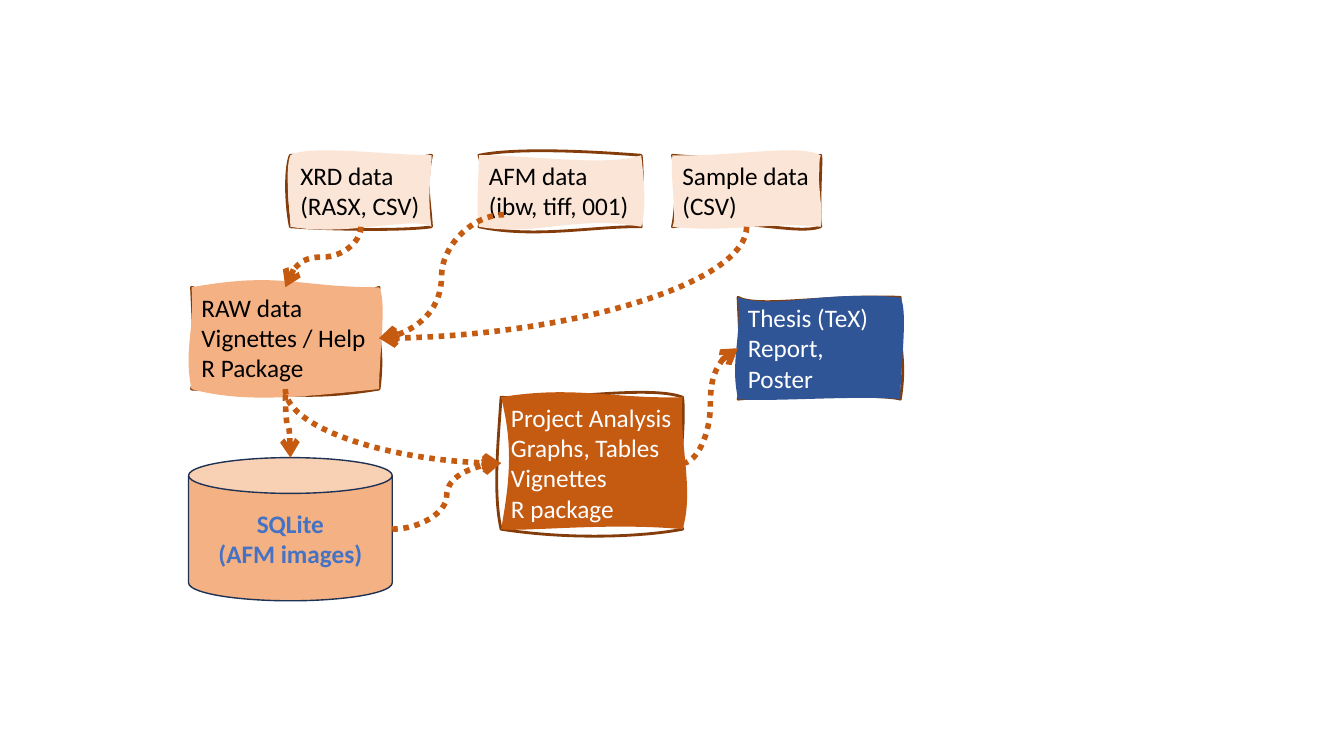
from lxml import etree
from pptx import Presentation
from pptx.dml.color import RGBColor
from pptx.enum.dml import MSO_LINE
from pptx.enum.shapes import MSO_CONNECTOR, MSO_SHAPE
from pptx.enum.text import MSO_ANCHOR, MSO_AUTO_SIZE, PP_ALIGN
from pptx.oxml.ns import qn
from pptx.util import Inches, Pt

CURVE, CAN, ROUND_DOT = MSO_CONNECTOR.CURVE, MSO_SHAPE.CAN, MSO_LINE.ROUND_DOT
TOP, MIDDLE = MSO_ANCHOR.TOP, MSO_ANCHOR.MIDDLE
LEFT, CENTER = PP_ALIGN.LEFT, PP_ALIGN.CENTER
GROW = MSO_AUTO_SIZE.SHAPE_TO_FIT_TEXT

BLACK, WHITE = RGBColor(0, 0, 0), RGBColor(255, 255, 255)
PEACH = RGBColor(0xFB, 0xE5, 0xD6)
APRICOT = RGBColor(0xF4, 0xB1, 0x83)
ORANGE = RGBColor(0xC5, 0x5A, 0x11)
BROWN = RGBColor(0x84, 0x3C, 0x0B)
NAVY = RGBColor(0x2F, 0x55, 0x97)
DARK_NAVY = RGBColor(0x1E, 0x32, 0x56)
BLUE = RGBColor(0x44, 0x72, 0xC4)

# Left, top, width, height of each step
PLACES = {
    "xrd": (2.88, 1.54, 1.4, 0.71),
    "afm": (4.75, 1.54, 1.61, 0.71),
    "sample": (6.67, 1.54, 1.47, 0.71),
    "raw": (1.9, 2.85, 1.86, 1.01),
    "project": (4.97, 3.94, 1.8, 1.31),
    "thesis": (7.32, 2.95, 1.61, 1.01),
    "database": (1.87, 4.54, 2.02, 1.42),
}

# Step, fill, text colour, wrap, paragraphs
BOXES = [
    ("xrd", PEACH, BLACK, False, ["XRD data", "(RASX, CSV)"]),
    ("afm", PEACH, BLACK, False, ["AFM data", "(ibw, tiff, 001)"]),
    ("sample", PEACH, BLACK, False, ["Sample data", "(CSV)"]),
    ("raw", APRICOT, BLACK, False, ["RAW data", "Vignettes / Help\nR Package"]),
    ("project", ORANGE, WHITE, False,
     ["Project Analysis", "Graphs, Tables", "Vignettes", "R package"]),
    ("thesis", NAVY, WHITE, True, ["Thesis (TeX)", "Report,", "Poster"]),
]
DATABASE_TEXT = ["SQLite", "(AFM images)"]

# Hand-drawn edges: two control points each for the top, right, bottom and
# left edge; first the outline, then the filled area
SKETCHES = {
    "xrd": (
        [(3.37, 1.53), (3.83, 1.63), (4.22, 1.85), (4.26, 1.94),
         (4.03, 2.29), (3.3, 2.28), (2.83, 2), (2.83, 1.66)],
        [(3.05, 1.43), (3.88, 1.54), (4.29, 1.63), (4.23, 1.92),
         (4.1, 2.14), (3.46, 2.35), (2.88, 2.1), (2.82, 1.69)]),
    "afm": (
        [(5.17, 1.45), (6.1, 1.52), (6.39, 1.87), (6.34, 2.15),
         (5.91, 2.24), (5.3, 2.37), (4.8, 2.15), (4.8, 1.67)],
        [(5.17, 1.53), (6.02, 1.66), (6.38, 1.71), (6.42, 2.04),
         (5.72, 2.13), (5.31, 2.35), (4.72, 2.12), (4.75, 1.71)]),
    "sample": (
        [(7.11, 1.58), (7.87, 1.61), (8.15, 1.65), (8.12, 1.91),
         (7.88, 2.34), (7.36, 2.14), (6.72, 2.01), (6.71, 1.69)],
        [(7.26, 1.56), (7.91, 1.42), (8.08, 1.72), (8.18, 2.13),
         (7.62, 2.2), (7.21, 2.31), (6.72, 2.13), (6.64, 1.75)]),
    "raw": (
        [(2.35, 3), (3.45, 2.99), (3.71, 3.31), (3.82, 3.4),
         (2.98, 3.99), (2.71, 3.88), (1.94, 3.74), (1.92, 3.27)],
        [(2.79, 2.69), (2.94, 2.85), (3.84, 2.97), (3.76, 3.54),
         (3.06, 3.93), (2.44, 4.01), (1.82, 3.47), (1.93, 3.3)]),
    "project": (
        [(5.46, 3.99), (6.42, 3.81), (6.81, 4.27), (6.68, 4.93),
         (6.47, 5.31), (5.74, 5.37), (4.89, 4.9), (4.94, 4.39)],
        [(5.69, 3.82), (6.08, 3.96), (6.73, 4.38), (6.89, 4.86),
         (6.04, 5.18), (5.16, 5.28), (5.07, 4.71), (5.08, 4.38)]),
    "thesis": (
        [(7.52, 3.06), (8.21, 2.92), (8.89, 3.41), (9, 3.51),
         (8.77, 3.91), (7.71, 3.92), (7.36, 3.84), (7.34, 3.38)],
        [(7.72, 3.07), (8.13, 2.88), (9.01, 3.08), (8.93, 3.65),
         (8.49, 3.92), (7.63, 3.99), (7.24, 3.58), (7.35, 3.41)]),
}

# Start, end (a step's side or a point), leaves downwards, number of bends
FLOWS = [
    (("sample", "bottom"), ("raw", "right"), True, 1),
    ((5, 2.13), ("raw", "right"), False, 2),
    (("xrd", "bottom"), ("raw", "top"), True, 2),
    (("raw", "bottom"), ("project", "left"), True, 1),
    (("project", "right"), ("thesis", "left"), False, 2),
    (("database", "right"), ("project", "left"), False, 2),
    ((2.83, 3.92), ("database", "top"), True, 2),
]
SIDES = {"top": (0.5, 0), "bottom": (0.5, 1), "left": (0, 0.5), "right": (1, 0.5)}


def write_text(shape, paragraphs, colour, align=LEFT, anchor=TOP, bold=False):
    """Fill a shape with paragraphs; a newline is a line break."""
    frame = shape.text_frame
    frame.vertical_anchor = anchor
    for i, wording in enumerate(paragraphs):
        paragraph = frame.paragraphs[0] if i == 0 else frame.add_paragraph()
        paragraph.alignment = align
        for j, line in enumerate(wording.split("\n")):
            if j:
                paragraph.add_line_break()
            run = paragraph.add_run()
            run.text = line
            run.font.name, run.font.size = "Calibri", Pt(18)
            run.font.bold, run.font.color.rgb = bold, colour


def paint(shape, fill, line, width):
    """Set fill and outline and drop the shadow."""
    shape.shadow.inherit = False
    shape.fill.solid()
    shape.fill.fore_color.rgb = fill
    shape.line.color.rgb = line
    shape.line.width = Pt(width)


def sketch_edges(shape, corners, contours):
    """Replace the straight edges by curved outline and fill contours."""
    def add_point(parent, point):
        etree.SubElement(parent, qn("a:pt"), x=str(Inches(point[0]) - shape.left),
                         y=str(Inches(point[1]) - shape.top))

    outlines = shape._element.spPr.find(qn("a:custGeom")).find(qn("a:pathLst"))
    outlines.clear()
    for controls, style in zip(contours, ({"fill": "none"}, {"stroke": "0"})):
        contour = etree.SubElement(outlines, qn("a:path"), w=str(shape.width),
                                   h=str(shape.height), **style)
        add_point(etree.SubElement(contour, qn("a:moveTo")), corners[0])
        for i in range(4):
            edge = etree.SubElement(contour, qn("a:cubicBezTo"))
            for point in (*controls[2 * i:2 * i + 2], corners[(i + 1) % 4]):
                add_point(edge, point)
        etree.SubElement(contour, qn("a:close"))


def add_sketched_box(slide, step, fill, colour, wrap, paragraphs):
    """Draw a box with hand-drawn edges and its text."""
    x, y, w, h = PLACES[step]
    corners = [(x, y), (x + w, y), (x + w, y + h), (x, y + h)]
    outline = [(Inches(a), Inches(b)) for a, b in corners]
    builder = slide.shapes.build_freeform(*outline[0])
    builder.add_line_segments(outline[1:], close=True)
    box = builder.convert_to_shape()
    sketch_edges(box, corners, SKETCHES[step])
    paint(box, fill, BROWN, 2)
    write_text(box, paragraphs, colour)
    box.text_frame.word_wrap = wrap
    box.text_frame.auto_size = GROW


def locate(end):
    """Return the point for a step's side, or the point itself."""
    if end[0] not in PLACES:
        return end
    x, y, w, h = PLACES[end[0]]
    across, down = SIDES[end[1]]
    return x + across * w, y + down * h


def add_flow(slide, start, end, downwards, bends):
    """Draw a dotted curved arrow; one leaving downwards is a turned one."""
    (x1, y1), (x2, y2) = locate(start), locate(end)
    turn = 0
    if downwards:
        turn = 90 if x2 < x1 else 270
        mid_x, mid_y = (x1 + x2) / 2, (y1 + y2) / 2
        reach = (y2 - y1) / 2 * (1 if turn == 90 else -1)
        rise = abs(x2 - x1) / 2
        x1, x2, y1, y2 = mid_x - reach, mid_x + reach, mid_y - rise, mid_y + rise
    flow = slide.shapes.add_connector(CURVE, *map(Inches, (x1, y1, x2, y2)))
    flow.line.color.rgb = ORANGE
    flow.line.width = Pt(4)
    flow.line.dash_style = ROUND_DOT
    properties = flow._element.spPr
    if turn:
        properties.find(qn("a:xfrm")).set("rot", str(turn * 60000))
    properties.find(qn("a:prstGeom")).set("prst", f"curvedConnector{bends + 1}")
    etree.SubElement(properties.find(qn("a:ln")), qn("a:tailEnd"), type="arrow")
    etree.SubElement(properties, qn("a:effectLst"))


prs = Presentation()
prs.slide_width, prs.slide_height = Inches(13.33), Inches(7.5)
slide = prs.slides.add_slide(prs.slide_layouts[6])

for box in BOXES:
    add_sketched_box(slide, *box)

database = slide.shapes.add_shape(CAN, *map(Inches, PLACES["database"]))
paint(database, APRICOT, DARK_NAVY, 1)
write_text(database, DATABASE_TEXT, BLUE, CENTER, MIDDLE, bold=True)

for flow in FLOWS:
    add_flow(slide, *flow)

prs.save("out.pptx")
